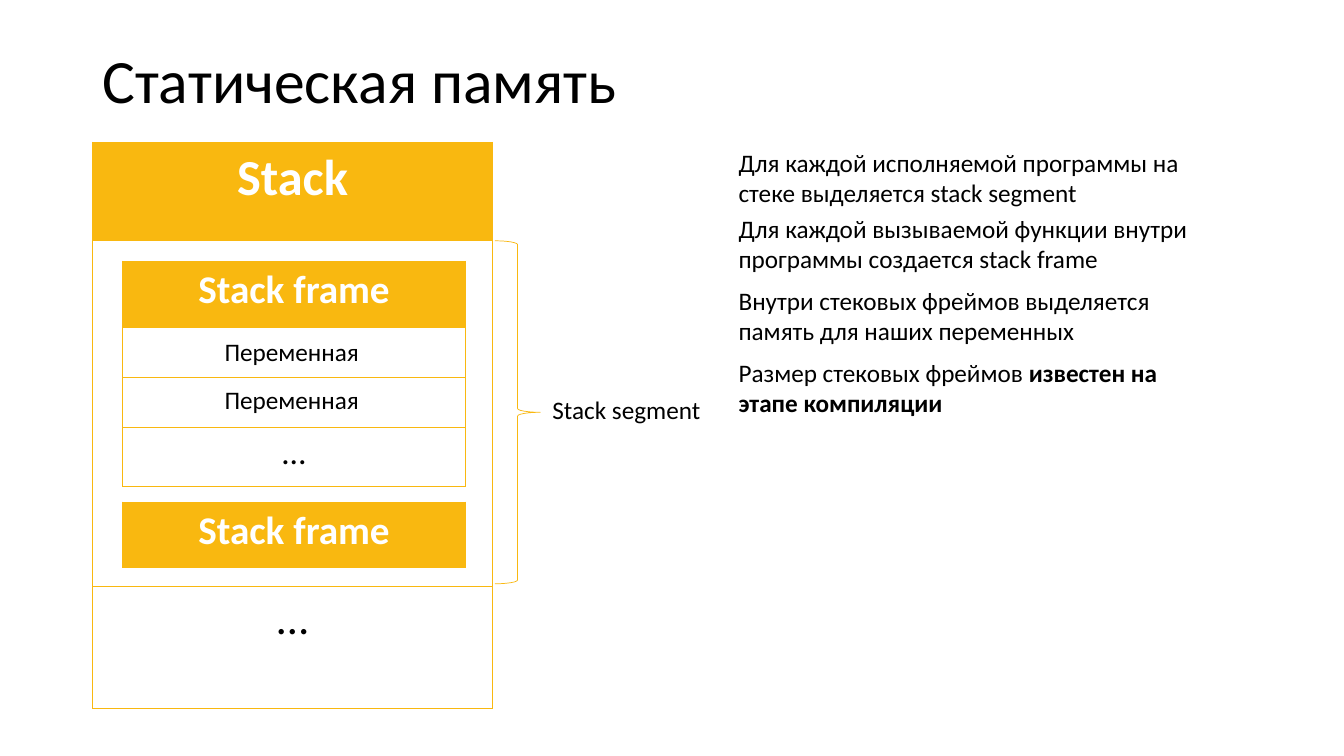
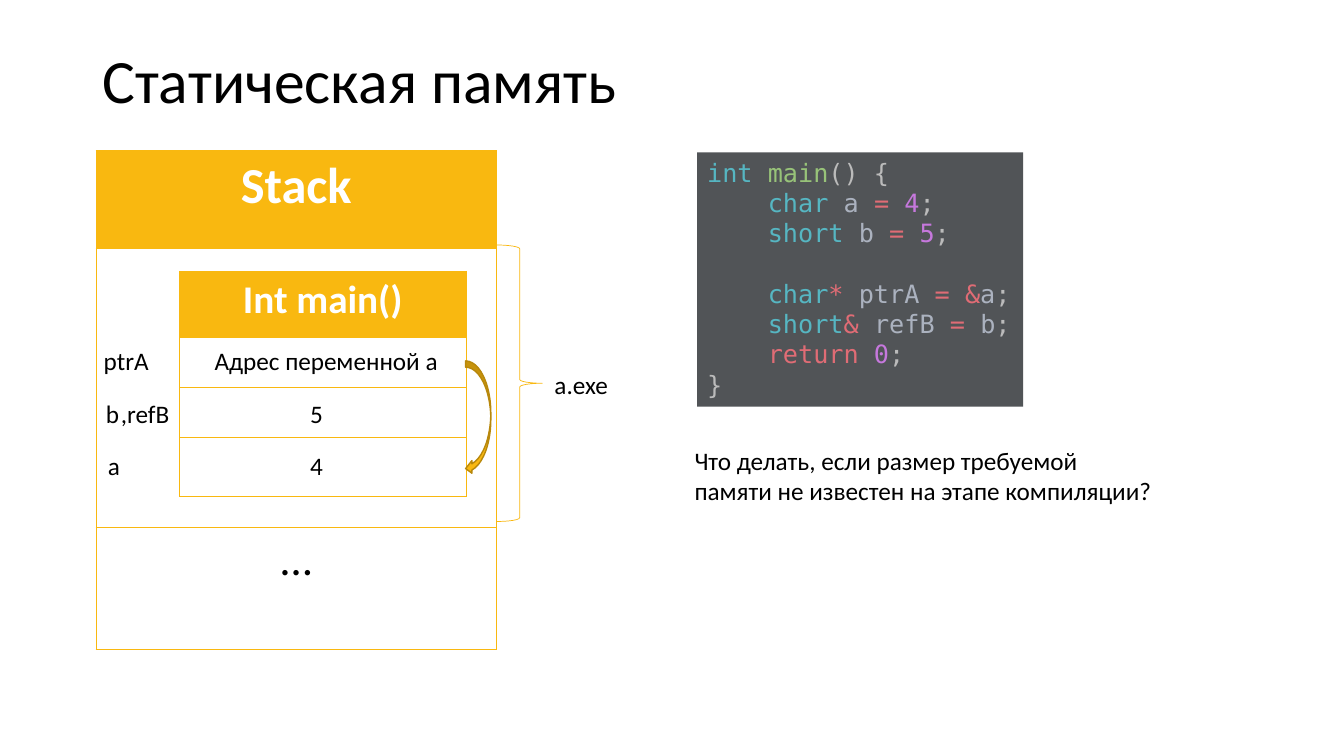
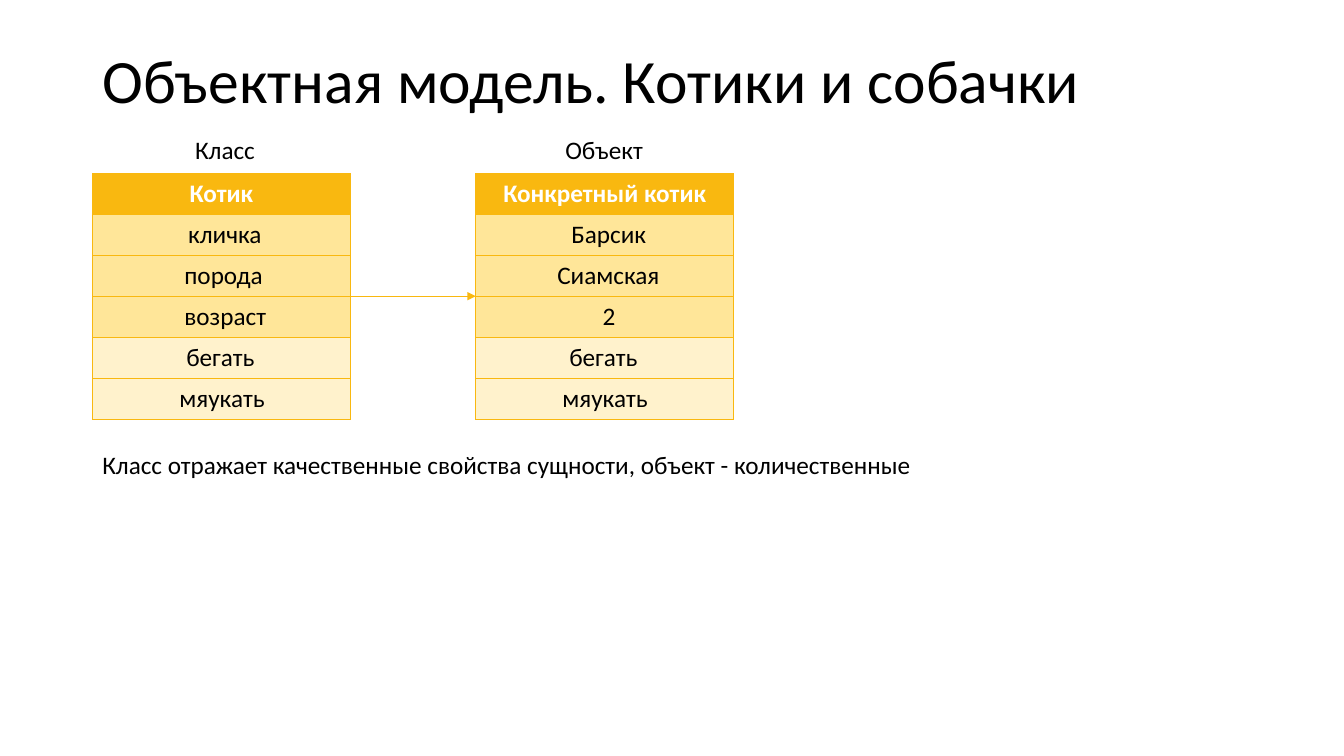
"""Build three slides on static memory and the object model."""

import dataclasses

import lxml.etree
import pptx
import pptx.dml.color
import pptx.enum.shapes
import pptx.enum.text
import pptx.oxml.ns
import pptx.util

Pt = pptx.util.Pt
color = pptx.dml.color.RGBColor.from_string
qn = pptx.oxml.ns.qn
shape_types = pptx.enum.shapes.MSO_SHAPE


@dataclasses.dataclass(frozen=True)
class Theme:
    """Colours, fonts and type sizes shared by the slides."""

    font: str = "Calibri"
    code_font: str = "DejaVu Sans Mono"
    accent: str = "F9B810"
    accent_dark: str = "B8880C"
    field_fill: str = "FFE699"
    method_fill: str = "FFF2CC"
    text: str = "000000"
    header_text: str = "FFFFFF"
    code_fill: str = "515457"
    code_type: str = "56B6C2"
    code_function: str = "98C379"
    code_plain: str = "BBBBBB"
    code_name: str = "ABB2BF"
    code_operator: str = "E06C75"
    code_number: str = "C678DD"
    title_size: int = 44
    stack_size: int = 36
    stack_dots_size: int = 32
    frame_size: int = 28
    frame_dots_size: int = 24
    body_size: int = 18
    line_width: float = 0.5


theme = Theme()


def add_label(slide, text, left, top, width, height=29, wrap=False, bold_tail="", size=theme.body_size):
    """Add a text box, optionally ending in bold text, and return it."""
    box = slide.shapes.add_textbox(Pt(left), Pt(top), Pt(width), Pt(height))
    frame = box.text_frame
    frame.text = text
    frame.word_wrap = wrap
    frame.auto_size = pptx.enum.text.MSO_AUTO_SIZE.SHAPE_TO_FIT_TEXT
    paragraph = frame.paragraphs[0]
    if bold_tail:
        tail = paragraph.add_run()
        tail.text = bold_tail
        tail.font.bold = True
    for run in paragraph.runs:
        run.font.name = theme.font
        run.font.size = Pt(size)
        run.font.color.rgb = color(theme.text)
    return box


def add_column_table(slide, left, top, width, header, header_size, heights, fill_colors=(), dots_size=None):
    """Add a one-column table with a header and, if sized, closing dots."""
    shape = slide.shapes.add_table(len(heights), 1, Pt(left), Pt(top), Pt(width), Pt(sum(heights)))
    table = shape.table
    table.first_row = table.horz_banding = False
    for index, height in enumerate(heights):
        table.rows[index].height = Pt(height)
        cell = table.cell(index, 0)
        properties = cell._tc.get_or_add_tcPr()
        for side in ("a:lnL", "a:lnR", "a:lnT", "a:lnB"):
            border = lxml.etree.SubElement(properties, qn(side), w=str(Pt(theme.line_width)))
            fill = lxml.etree.SubElement(border, qn("a:solidFill"))
            lxml.etree.SubElement(fill, qn("a:srgbClr"), val=theme.accent)
        fill_color = theme.accent if index == 0 else fill_colors[index - 1] if fill_colors else None
        if fill_color:
            cell.fill.solid()
            cell.fill.fore_color.rgb = color(fill_color)
        else:
            cell.fill.background()
        if index == 0:
            text, size, text_color = header, header_size, theme.header_text
        elif dots_size and index == len(heights) - 1:
            text, size, text_color = "…", dots_size, theme.text
        else:
            continue
        cell.text_frame.text = text
        paragraph = cell.text_frame.paragraphs[0]
        paragraph.alignment = pptx.enum.text.PP_ALIGN.CENTER
        font = paragraph.runs[0].font
        font.name = theme.font
        font.size = Pt(size)
        font.bold = index == 0
        font.color.rgb = color(text_color)


presentation = pptx.Presentation()
presentation.slide_width = Pt(960)
presentation.slide_height = Pt(540)

for title in ("Статическая память", "Статическая память", "Объектная модель. Котики и собачки"):
    slide = presentation.slides.add_slide(presentation.slide_layouts[6])
    title_box = add_label(slide, title, 66, 28.8, 828, 61.2, wrap=True, size=theme.title_size)
    title_box.text_frame.auto_size = pptx.enum.text.MSO_AUTO_SIZE.NONE
    title_box.text_frame.vertical_anchor = pptx.enum.text.MSO_ANCHOR.MIDDLE
    title_box.text_frame.paragraphs[0].line_spacing = 0.9
segment_slide, variables_slide, model_slide = presentation.slides

for slide, left, top, body_height, brace_left, brace_top, brace_height in (
    (segment_slide, 66, 101.5, 247.5, 353.5, 172, 245),
    (variables_slide, 68.6, 107.5, 199.5, 355, 175, 197.5),
):
    add_column_table(
        slide, left, top, 286, "Stack", theme.stack_size, (70, body_height, 87), dots_size=theme.stack_dots_size
    )
    brace = slide.shapes.add_shape(
        shape_types.RIGHT_BRACE, Pt(brace_left), Pt(brace_top), Pt(32.4), Pt(brace_height)
    )
    brace.shadow.inherit = False
    brace.fill.background()
    brace.line.color.rgb = color(theme.accent)
    brace.line.width = Pt(theme.line_width)

frame_heights = (47, 36, 36, 42)
add_label(segment_slide, "Stack segment", 387.5, 278, 121, 52)
add_column_table(
    segment_slide, 87.5, 186.5, 245, "Stack frame", theme.frame_size, frame_heights, dots_size=theme.frame_dots_size
)
add_column_table(segment_slide, 87.5, 358.5, 245, "Stack frame", theme.frame_size, frame_heights[:1])
for top in (237, 270.7):
    add_label(segment_slide, "Переменная", 153.3, top, 111.6)

for top, text, bold_tail in (
    (101.5, "Для каждой исполняемой программы на стеке выделяется stack segment", ""),
    (149, "Для каждой вызываемой функции внутри программы создается stack frame", ""),
    (200.4, "Внутри стековых фреймов выделяется память для наших переменных", ""),
    (251.8, "Размер стековых фреймов ", "известен на этапе компиляции"),
):
    add_label(segment_slide, text, 520.5, top, 352, 51, wrap=True, bold_tail=bold_tail)

add_label(variables_slide, "a.exe", 389, 260.6, 53, 24)
add_column_table(variables_slide, 128.3, 193.7, 204.5, "Int main()", theme.frame_size, frame_heights)

code_lines = (
    (("int ", theme.code_type), ("main", theme.code_function), ("() {", theme.code_plain)),
    (
        ("    char ", theme.code_type),
        ("a ", theme.code_name),
        ("= ", theme.code_operator),
        ("4", theme.code_number),
        (";", theme.code_plain),
    ),
    (
        ("    short ", theme.code_type),
        ("b ", theme.code_name),
        ("= ", theme.code_operator),
        ("5", theme.code_number),
        (";", theme.code_plain),
    ),
    (
        ("\n", theme.code_plain),
        ("    char", theme.code_type),
        ("* ", theme.code_operator),
        ("ptrA ", theme.code_name),
        ("= &", theme.code_operator),
        ("a", theme.code_name),
        (";", theme.code_plain),
    ),
    (
        ("    short", theme.code_type),
        ("& ", theme.code_operator),
        ("refB ", theme.code_name),
        ("= ", theme.code_operator),
        ("b", theme.code_name),
        (";", theme.code_plain),
    ),
    (("    return ", theme.code_operator), ("0", theme.code_number), (";", theme.code_plain)),
    (("}", theme.code_plain),),
)
code_box = variables_slide.shapes.add_shape(shape_types.RECTANGLE, Pt(498), Pt(108.8), Pt(232.8), Pt(181.7))
code_box.shadow.inherit = False
code_box.fill.solid()
code_box.fill.fore_color.rgb = color(theme.code_fill)
code_box.line.fill.background()
code_box.text_frame.word_wrap = True
code_box.text_frame.vertical_anchor = pptx.enum.text.MSO_ANCHOR.TOP
for index, tokens in enumerate(code_lines):
    paragraph = code_box.text_frame.add_paragraph() if index else code_box.text_frame.paragraphs[0]
    paragraph.alignment = pptx.enum.text.PP_ALIGN.LEFT
    for text, token_color in tokens:
        if text == "\n":
            paragraph.add_line_break()
            continue
        run = paragraph.add_run()
        run.text = text
        run.font.name = theme.code_font
        run.font.size = Pt(theme.body_size)
        run.font.color.rgb = color(token_color)

for text, left, top, width in (
    ("4", 214.5, 318.3, 24),
    ("a", 70, 318.3, 23),
    ("5", 214.5, 281, 24),
    ("b", 68.6, 281, 24.5),
    (",refB", 79.3, 281, 49.7),
    ("Адрес переменной a", 146.2, 243.2, 175.7),
    ("ptrA", 67, 243.2, 46.8),
):
    add_label(variables_slide, text, left, top, width)

pointer_arrow = variables_slide.shapes.add_shape(
    shape_types.CURVED_LEFT_ARROW, Pt(332.6), Pt(257.8), Pt(18), Pt(81.4)
)
pointer_arrow.shadow.inherit = False
pointer_arrow.fill.solid()
pointer_arrow.fill.fore_color.rgb = color(theme.accent)
pointer_arrow.line.color.rgb = color(theme.accent_dark)
pointer_arrow.line.width = Pt(1)
add_label(
    variables_slide,
    "Что делать, если размер требуемой памяти не известен на этапе компиляции?",
    489, 314.6, 345, 51, wrap=True,
)

row_height = 29.2
table_top = 124
member_fills = (theme.field_fill,) * 3 + (theme.method_fill,) * 2
for left, header, caption, caption_left, caption_width, members in (
    (
        66, "Котик", "Класс", 132.3, 57.6,
        (("кличка", 127.4, 67.7), ("порода", 124.6, 71.3), ("возраст", 124.6, 73.4),
         ("бегать", 126, 64), ("мяукать", 121, 80.6)),
    ),
    (
        339.8, "Конкретный котик", "Объект", 396.7, 70.6,
        (("Барсик", 401, 68.4), ("Сиамская", 391, 88.6), ("2", 423.4, 23.8),
         ("бегать", 399.6, 64), ("мяукать", 394.6, 80.6)),
    ),
):
    add_column_table(
        model_slide, left, table_top, 184.3, header, theme.body_size, (row_height,) * 6, fill_colors=member_fills
    )
    add_label(model_slide, caption, caption_left, 92.5, caption_width)
    for index, (text, member_left, width) in enumerate(members, start=1):
        add_label(model_slide, text, member_left, table_top - 0.6 + index * row_height, width)

arrow_top = table_top + 3 * row_height
arrow = model_slide.shapes.add_connector(
    pptx.enum.shapes.MSO_CONNECTOR.STRAIGHT, Pt(250.2), Pt(arrow_top), Pt(339.8), Pt(arrow_top)
)
arrow.line.color.rgb = color(theme.accent)
arrow.line.width = Pt(theme.line_width)
lxml.etree.SubElement(arrow.line._get_or_add_ln(), qn("a:tailEnd"), type="triangle")
lxml.etree.SubElement(arrow._element.spPr, qn("a:effectLst"))
add_label(
    model_slide, "Класс отражает качественные свойства сущности, объект - количественные", 66, 317.5, 603.4
)

presentation.save("out.pptx")
